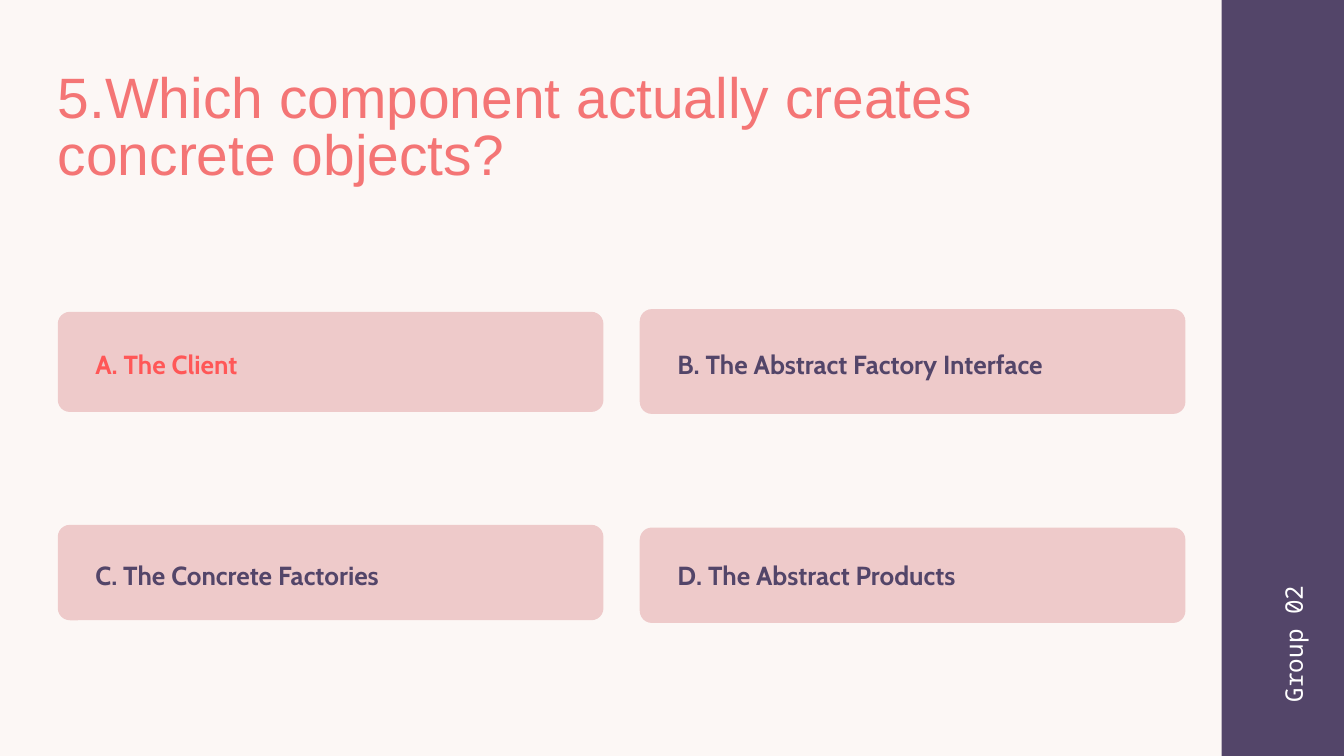
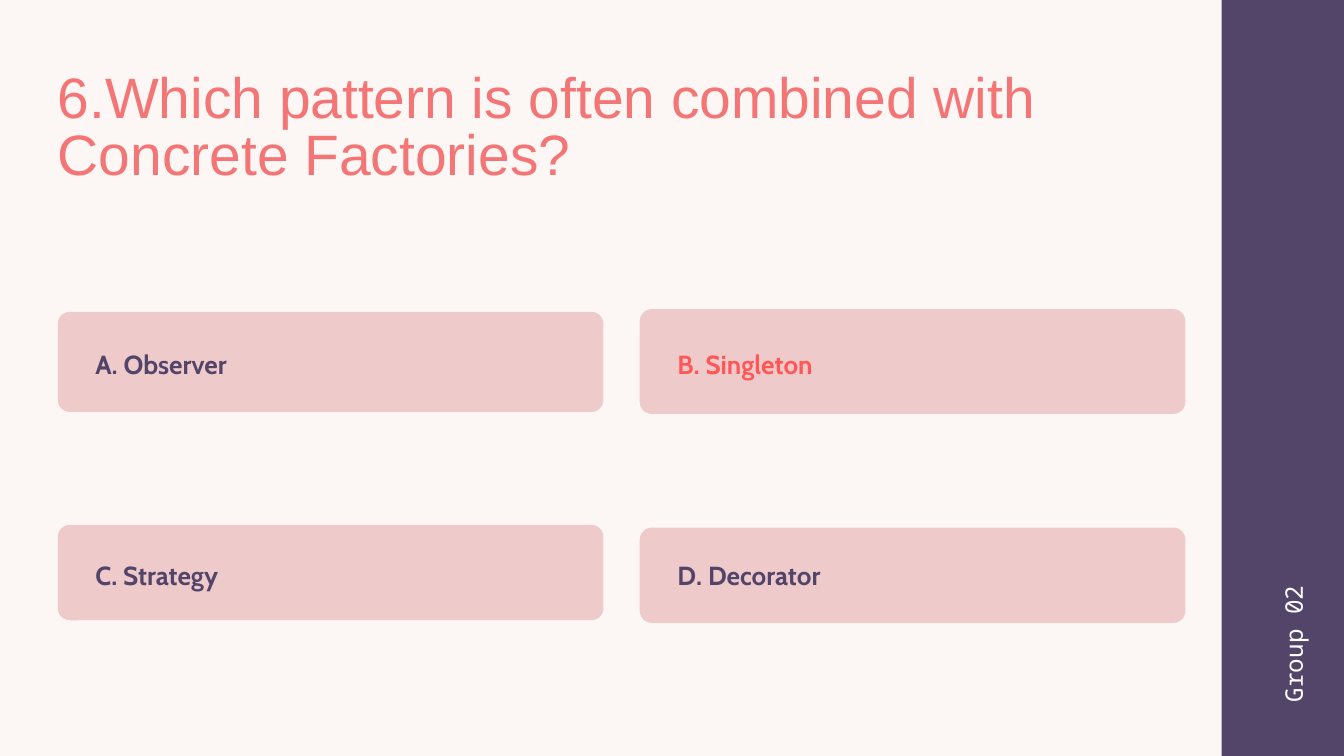
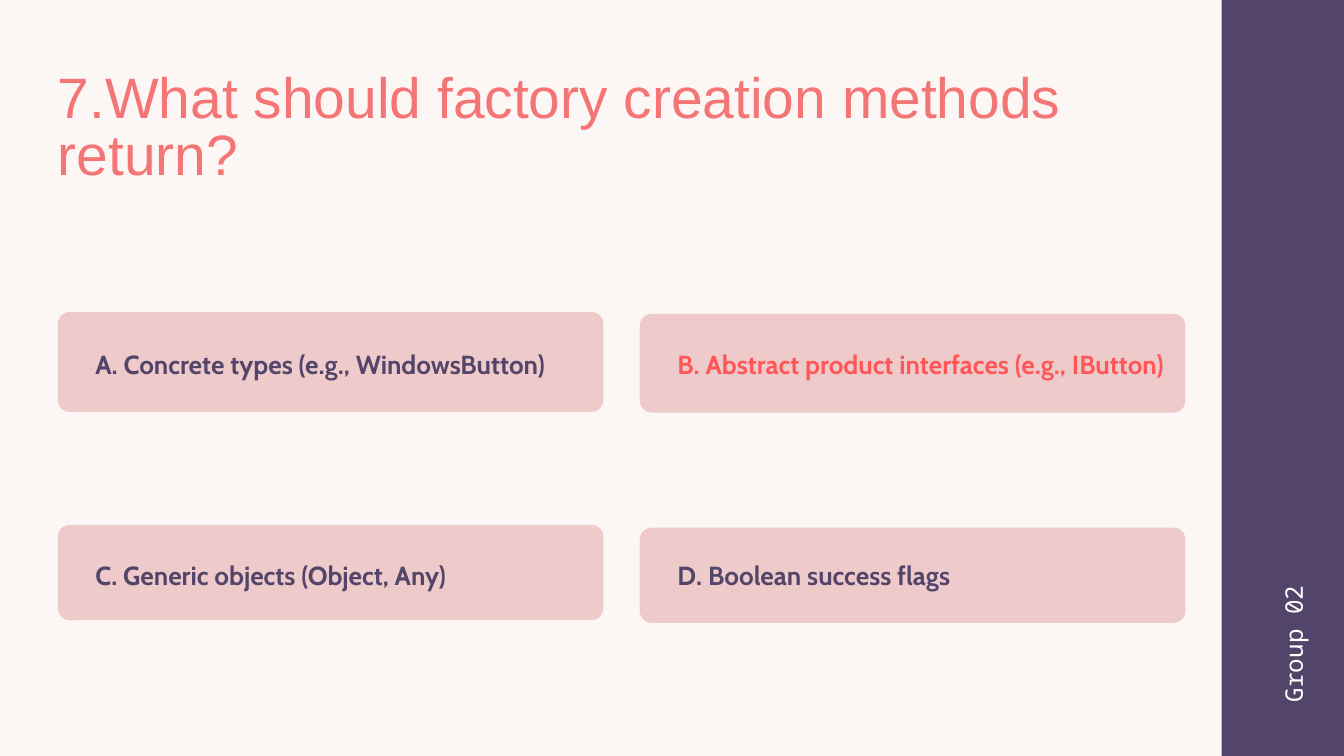
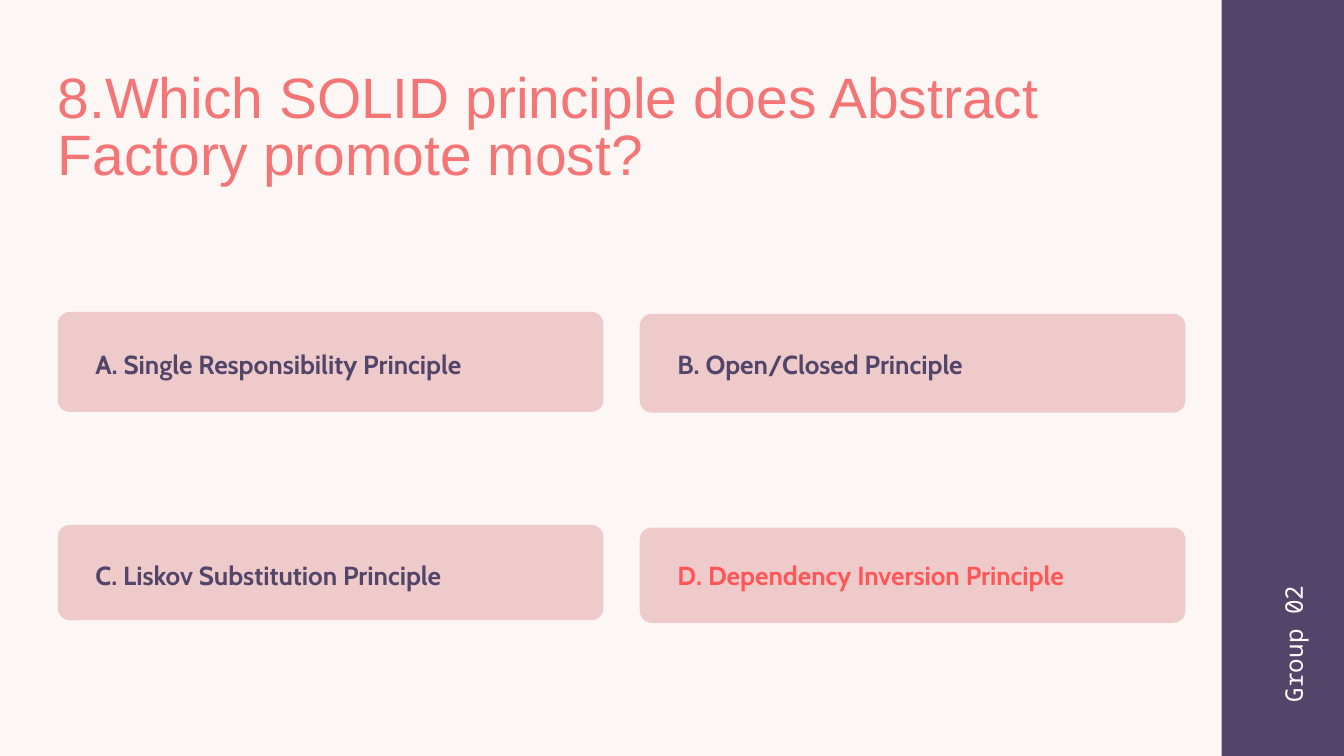
from pptx import Presentation
from pptx.dml.color import RGBColor
from pptx.enum.shapes import MSO_SHAPE
from pptx.enum.text import MSO_ANCHOR, MSO_AUTO_SIZE, PP_ALIGN
from pptx.util import Emu, Pt

# Content: question, four options, index of the right one, top and height of card B
QUESTIONS = [
    ("5.Which component actually creates concrete objects?",
     ["A. The Client", "B. The Abstract Factory Interface",
      "C. The Concrete Factories", "D. The Abstract Products"], 0, (460, 156)),
    ("6.Which pattern is often combined with Concrete Factories?",
     ["A. Observer", "B. Singleton", "C. Strategy", "D. Decorator"], 1, (460, 156)),
    ("7.What should factory creation methods return?",
     ["A. Concrete types (e.g., WindowsButton)",
      "B. Abstract product interfaces (e.g., IButton)",
      "C. Generic objects (Object, Any)", "D. Boolean success flags"], 1, (467, 147)),
    ("8.Which SOLID principle does Abstract Factory promote most?",
     ["A. Single Responsibility Principle", "B. Open/Closed Principle",
      "C. Liskov Substitution Principle", "D. Dependency Inversion Principle"],
     3, (467, 147)),
]
GROUP_LABEL = "Group 02"

# Shared style: 100 px to the inch
PX = 9144
SLIDE_SIZE = (2000, 1125)
PAPER, PURPLE, CARD = "FCF7F5", "534569", "EECACA"
TITLE_COLOR, ANSWER_COLOR, WHITE = "F47575", "FF5757", "FFFFFF"
TITLE_BOX = (86, 109, 1603, 172)
SIDEBAR_BOX = (1818, -6, 314, 1203)
LABEL_BOX = (1830, 931, 183, 45)

# Card grid
CARD_LEFT, CARD_WIDTH, CARD_STEP = 86, 812, 866
CARD_ROWS = [(464, 149), None, (781, 142), (785, 142)]  # top, height; B varies
CARD_RADIUS = 18
TEXT_INDENT, TEXT_HEIGHT = 56, 51
TEXT_TOPS = (510, 824)
TEXT_WIDTHS = (756, 741, 700, 700)

RECTANGLE, ROUNDED = MSO_SHAPE.RECTANGLE, MSO_SHAPE.ROUNDED_RECTANGLE
TOP, LEFT, NO_AUTOFIT = MSO_ANCHOR.TOP, PP_ALIGN.LEFT, MSO_AUTO_SIZE.NONE


def color(hex_string):
    return RGBColor.from_string(hex_string)


def emu(box):
    return [Emu(length * PX) for length in box]


def add_block(slide, kind, box, fill):
    shape = slide.shapes.add_shape(kind, *emu(box))
    shape.shadow.inherit = False
    shape.fill.solid()
    shape.fill.fore_color.rgb = color(fill)
    shape.line.fill.background()
    return shape


def write(shape, text, font_name, size, line_spacing, hex_color, bold=False):
    frame = shape.text_frame
    frame.margin_left = frame.margin_right = frame.margin_top = frame.margin_bottom = 0
    frame.word_wrap = True
    frame.auto_size = NO_AUTOFIT
    frame.vertical_anchor = TOP
    paragraph = frame.paragraphs[0]
    paragraph.text = text
    paragraph.alignment = LEFT
    paragraph.line_spacing = Pt(line_spacing)
    font = paragraph.font
    font.name, font.size, font.bold = font_name, Pt(size), bold
    font.color.rgb = color(hex_color)


def add_title(slide, text):
    title = slide.shapes.title
    title.left, title.top, title.width, title.height = emu(TITLE_BOX)
    write(title, text, "Arial", 61, 61, TITLE_COLOR)


def add_sidebar(slide):
    add_block(slide, RECTANGLE, SIDEBAR_BOX, PURPLE)
    label = slide.shapes.add_textbox(*emu(LABEL_BOX))
    label.rotation = 270
    write(label, GROUP_LABEL, "Noto Sans Mono", 26, 33.8, WHITE)


def add_option(slide, index, text, card_row, is_answer):
    row, column = divmod(index, 2)
    left = CARD_LEFT + column * CARD_STEP
    top, height = card_row
    card = add_block(slide, ROUNDED, (left, top, CARD_WIDTH, height), CARD)
    card.adjustments[0] = CARD_RADIUS / height
    text_box = slide.shapes.add_textbox(*emu(
        (left + TEXT_INDENT, TEXT_TOPS[row], TEXT_WIDTHS[index], TEXT_HEIGHT)))
    write(text_box, text, "Cabin", 28, 39.2,
          ANSWER_COLOR if is_answer else PURPLE, bold=True)


def main():
    presentation = Presentation()
    presentation.slide_width, presentation.slide_height = emu(SLIDE_SIZE)
    background = presentation.slide_master.background.fill
    background.solid()
    background.fore_color.rgb = color(PAPER)
    title_only = presentation.slide_layouts[5]

    for question, options, answer, card_b_row in QUESTIONS:
        slide = presentation.slides.add_slide(title_only)
        add_title(slide, question)
        add_sidebar(slide)
        for index, option in enumerate(options):
            add_option(slide, index, option, CARD_ROWS[index] or card_b_row,
                       index == answer)

    presentation.save("out.pptx")


if __name__ == "__main__":
    main()
